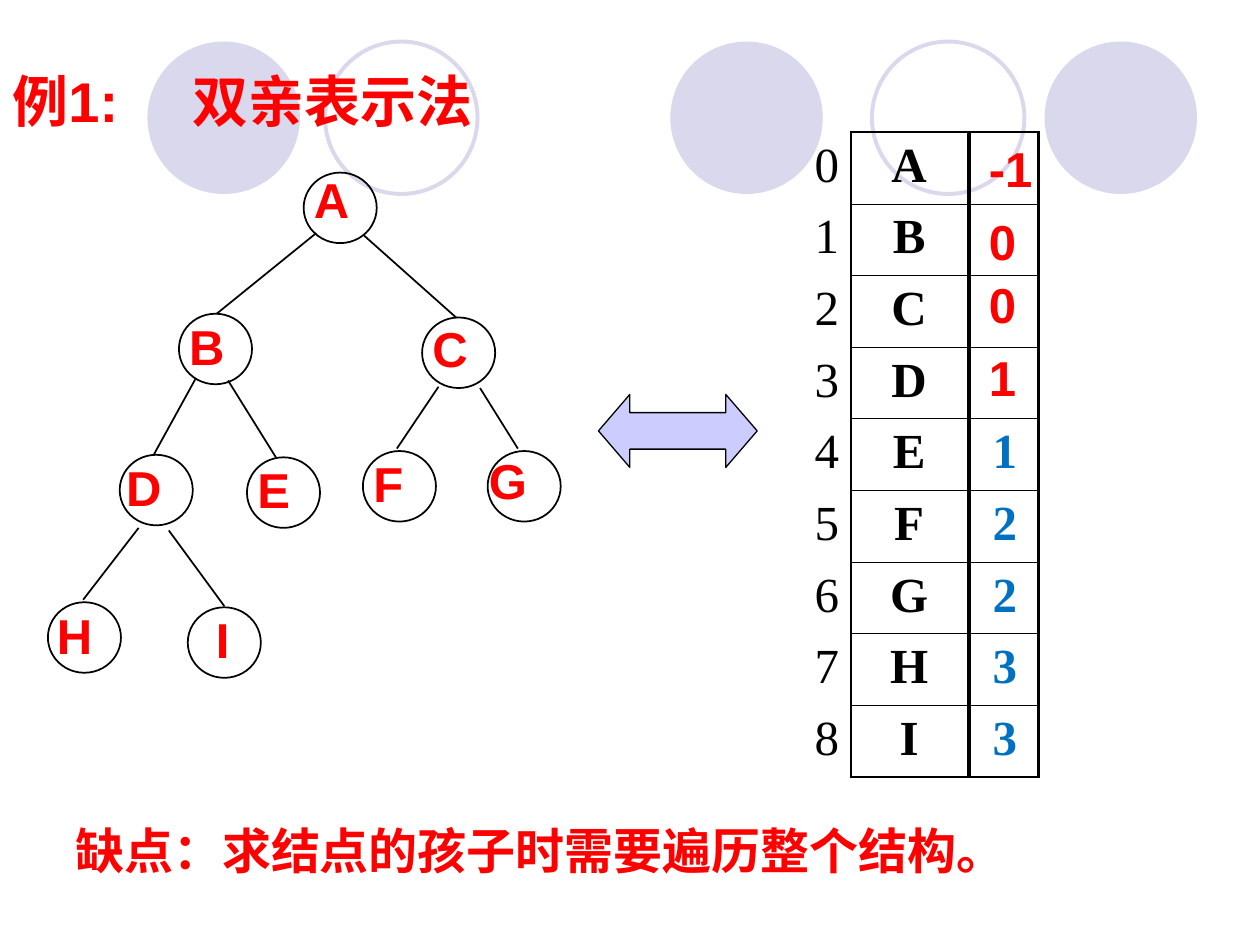
from dataclasses import dataclass
from typing import NamedTuple, Optional

from lxml.etree import SubElement
from pptx import Presentation
from pptx.dml.color import RGBColor
from pptx.enum.shapes import MSO_CONNECTOR, MSO_SHAPE
from pptx.enum.text import MSO_ANCHOR, MSO_AUTO_SIZE, PP_ALIGN
from pptx.oxml.ns import qn
from pptx.util import Inches, Pt


@dataclass(frozen=True)
class Theme:
    red: str = "FF0000"
    blue: str = "0070C0"
    black: str = "000000"
    lilac: str = "D9D8EC"
    arrow: str = "CCCCFF"
    sans: str = "Arial"
    serif: str = "Times New Roman"
    chinese: str = "Noto Sans CJK SC"
    title: float = 32
    body: float = 28
    thin: float = 0.45
    thick: float = 1.08


class Node(NamedTuple):
    label: str
    x: float
    y: float
    label_x: float
    label_y: float
    label_width: float = 0.48


class Edge(NamedTuple):
    x1: float
    y1: float
    x2: float
    y2: float


class Style(NamedTuple):
    font: str
    color: str
    size: float
    bold: bool = True


class Borders(NamedTuple):
    """Widths in points; zero means no border."""
    left: float = 0
    right: float = 0
    top: float = 0
    bottom: float = 0


class Column(NamedTuple):
    texts: list[str]
    width: float
    align: PP_ALIGN
    style: Style
    left: float = 0
    right: float = 0
    outer: float = 0
    inner: float = 0


THEME = Theme()
RED_TEXT = Style(THEME.sans, THEME.red, THEME.body)
INDEX_TEXT = Style(THEME.serif, THEME.black, THEME.body, False)
DATA_TEXT = Style(THEME.serif, THEME.black, THEME.body)
PARENT_TEXT = Style(THEME.serif, THEME.blue, THEME.body)

CIRCLE_SIZE = 1.21
FILLED_CIRCLES = [5.32, 8.29, 1.17]
OUTLINED_CIRCLES = [6.92, 2.58]
CIRCLE_TOP = 0.33

NODE_WIDTH, NODE_HEIGHT = 0.58, 0.56
LABEL_HEIGHT = 0.57
NODES = [
    Node("A", 2.41, 1.37, 2.39, 1.30),
    Node("B", 1.42, 2.49, 1.40, 2.46),
    Node("C", 3.35, 2.52, 3.33, 2.48),
    Node("D", 0.95, 3.61, 0.90, 3.58),
    Node("E", 1.96, 3.63, 1.94, 3.60, 0.46),
    Node("F", 2.88, 3.58, 2.86, 3.55, 0.44),
    Node("G", 3.87, 3.58, 3.78, 3.53, 0.50),
    Node("H", 0.38, 4.78, 0.35, 4.76),
    Node("I", 1.49, 4.82, 1.61, 4.79, 0.31),
]
EDGES = [
    Edge(2.51, 1.85, 1.72, 2.49), Edge(2.89, 1.87, 3.62, 2.52),
    Edge(1.55, 3.01, 1.22, 3.61), Edge(1.81, 3.02, 2.19, 3.63),
    Edge(3.48, 3.07, 3.15, 3.56), Edge(3.81, 3.08, 4.11, 3.56),
    Edge(1.10, 4.19, 0.66, 4.76), Edge(1.34, 4.21, 1.78, 4.81),
]

ROWS = len(NODES)
TABLE_TOP, TABLE_HEIGHT = 1.05, 5.12
DATA_WIDTH, PARENT_WIDTH = 0.93, 0.55
BLANKS = [""] * ROWS
INDEX_COLUMN = Column([str(i) for i in range(ROWS)], DATA_WIDTH, PP_ALIGN.RIGHT,
                      INDEX_TEXT, right=THEME.thin)
FRAME = dict(outer=THEME.thick, inner=THEME.thin)
THICK_SIDES = dict(left=THEME.thick, right=THEME.thick, **FRAME)
TABLES = [
    (5.83, [INDEX_COLUMN,
            Column(BLANKS, DATA_WIDTH, PP_ALIGN.CENTER, DATA_TEXT,
                   THEME.thin, THEME.thin, **FRAME),
            Column(BLANKS, PARENT_WIDTH, PP_ALIGN.CENTER, DATA_TEXT,
                   THEME.thin, THEME.thick, **FRAME)]),
    (7.70, [Column([""] * 4 + list("12233"), PARENT_WIDTH, PP_ALIGN.CENTER,
                   PARENT_TEXT, **THICK_SIDES)]),
    (6.75, [Column([node.label for node in NODES], DATA_WIDTH, PP_ALIGN.CENTER,
                   DATA_TEXT, **THICK_SIDES)]),
]
RED_PARENTS = [("-1", 1.05, 0.6), ("0", 1.63, 0.41), ("0", 2.13, 0.41), ("1", 2.71, 0.41)]


def rgb(color: str) -> RGBColor:
    return RGBColor.from_string(color)


def add_run(paragraph, text: str, style: Style) -> None:
    run = paragraph.add_run()
    run.text = text
    font = run.font
    font.name, font.size, font.bold = style.font, Pt(style.size), style.bold
    font.color.rgb = rgb(style.color)
    SubElement(run._r.get_or_add_rPr(), qn("a:ea"), typeface=THEME.chinese)


def add_label(slide, x: float, y: float, width: float, height: float,
              text: str = "", align: PP_ALIGN = PP_ALIGN.LEFT, wrap: bool = False):
    frame = slide.shapes.add_textbox(Inches(x), Inches(y), Inches(width), Inches(height)).text_frame
    frame.word_wrap = wrap
    frame.auto_size = MSO_AUTO_SIZE.SHAPE_TO_FIT_TEXT
    paragraph = frame.paragraphs[0]
    paragraph.alignment = align
    if text:
        add_run(paragraph, text, RED_TEXT)
    return frame


def add_figure(slide, preset: MSO_SHAPE, x: float, y: float, width: float, height: float,
               fill: Optional[str] = None, line: Optional[str] = None, weight: float = 1):
    figure = slide.shapes.add_shape(preset, Inches(x), Inches(y), Inches(width), Inches(height))
    figure.shadow.inherit = False
    if fill:
        figure.fill.solid()
        figure.fill.fore_color.rgb = rgb(fill)
    else:
        figure.fill.background()
    if line:
        figure.line.color.rgb = rgb(line)
        figure.line.width = Pt(weight)
    else:
        figure.line.fill.background()
    return figure


def add_edge(slide, edge: Edge) -> None:
    line = slide.shapes.add_connector(MSO_CONNECTOR.STRAIGHT, *(Inches(v) for v in edge))
    line.line.color.rgb = rgb(THEME.black)
    line.line.width = Pt(1)
    SubElement(line._element.spPr, qn("a:effectLst"))


def set_borders(cell, borders: Borders) -> None:
    properties = cell._tc.get_or_add_tcPr()
    for tag, width in zip(("a:lnL", "a:lnR", "a:lnT", "a:lnB"), borders):
        line = SubElement(properties, qn(tag), w=str(Pt(width)))
        if width:
            SubElement(SubElement(line, qn("a:solidFill")), qn("a:srgbClr"), val=THEME.black)
        else:
            SubElement(line, qn("a:noFill"))


def add_array(slide, x: float, columns: list[Column]) -> None:
    total = sum(column.width for column in columns)
    table = slide.shapes.add_table(ROWS, len(columns), Inches(x), Inches(TABLE_TOP),
                                   Inches(total), Inches(TABLE_HEIGHT)).table
    table.first_row = table.horz_banding = False
    for c, column in enumerate(columns):
        table.columns[c].width = Inches(column.width)
        for r, text in enumerate(column.texts):
            cell = table.cell(r, c)
            set_borders(cell, Borders(column.left, column.right,
                                      column.inner if r else column.outer,
                                      column.inner if r < ROWS - 1 else column.outer))
            cell.fill.background()
            paragraph = cell.text_frame.paragraphs[0]
            paragraph.alignment = column.align
            if text:
                add_run(paragraph, text, column.style)


def add_title(slide) -> None:
    frame = add_label(slide, 0, 0.46, 4, 0.67, wrap=True)
    frame.vertical_anchor = MSO_ANCHOR.MIDDLE
    paragraph = frame.paragraphs[0]
    stops = SubElement(paragraph._p.get_or_add_pPr(), qn("a:tabLst"))
    SubElement(stops, qn("a:tab"), pos=str(Inches(1.43)), algn="l")
    add_run(paragraph, "例1:\t", Style(THEME.sans, THEME.red, THEME.title))
    add_run(paragraph, "双亲表示法", Style(THEME.chinese, THEME.red, THEME.title))


def main() -> None:
    deck = Presentation()
    deck.slide_width, deck.slide_height = Inches(10), Inches(7.5)
    slide = deck.slides.add_slide(deck.slide_layouts[6])
    for x in FILLED_CIRCLES:
        add_figure(slide, MSO_SHAPE.OVAL, x, CIRCLE_TOP, CIRCLE_SIZE, CIRCLE_SIZE, fill=THEME.lilac)
    for x in OUTLINED_CIRCLES:
        add_figure(slide, MSO_SHAPE.OVAL, x, CIRCLE_TOP, CIRCLE_SIZE, CIRCLE_SIZE,
                   line=THEME.lilac, weight=2.25)
    for node in NODES:
        add_figure(slide, MSO_SHAPE.OVAL, node.x, node.y, NODE_WIDTH, NODE_HEIGHT, line=THEME.black)
        add_label(slide, node.label_x, node.label_y, node.label_width, LABEL_HEIGHT,
                  node.label, PP_ALIGN.RIGHT)
    for edge in EDGES:
        add_edge(slide, edge)
    add_label(slide, 0.5, 6.46, 7.67, LABEL_HEIGHT, "缺点：求结点的孩子时需要遍历整个结构。", wrap=True)
    arrow = add_figure(slide, MSO_SHAPE.LEFT_RIGHT_ARROW, 4.75, 3.13, 1.26, 0.58,
                       THEME.arrow, THEME.black, 0.75)
    arrow.adjustments[0], arrow.adjustments[1] = 0.5, 0.43
    for x, columns in TABLES:
        add_array(slide, x, columns)
    for text, y, width in RED_PARENTS:
        add_label(slide, 7.75, y, width, LABEL_HEIGHT, text)
    add_title(slide)
    deck.save("out.pptx")


if __name__ == "__main__":
    main()
